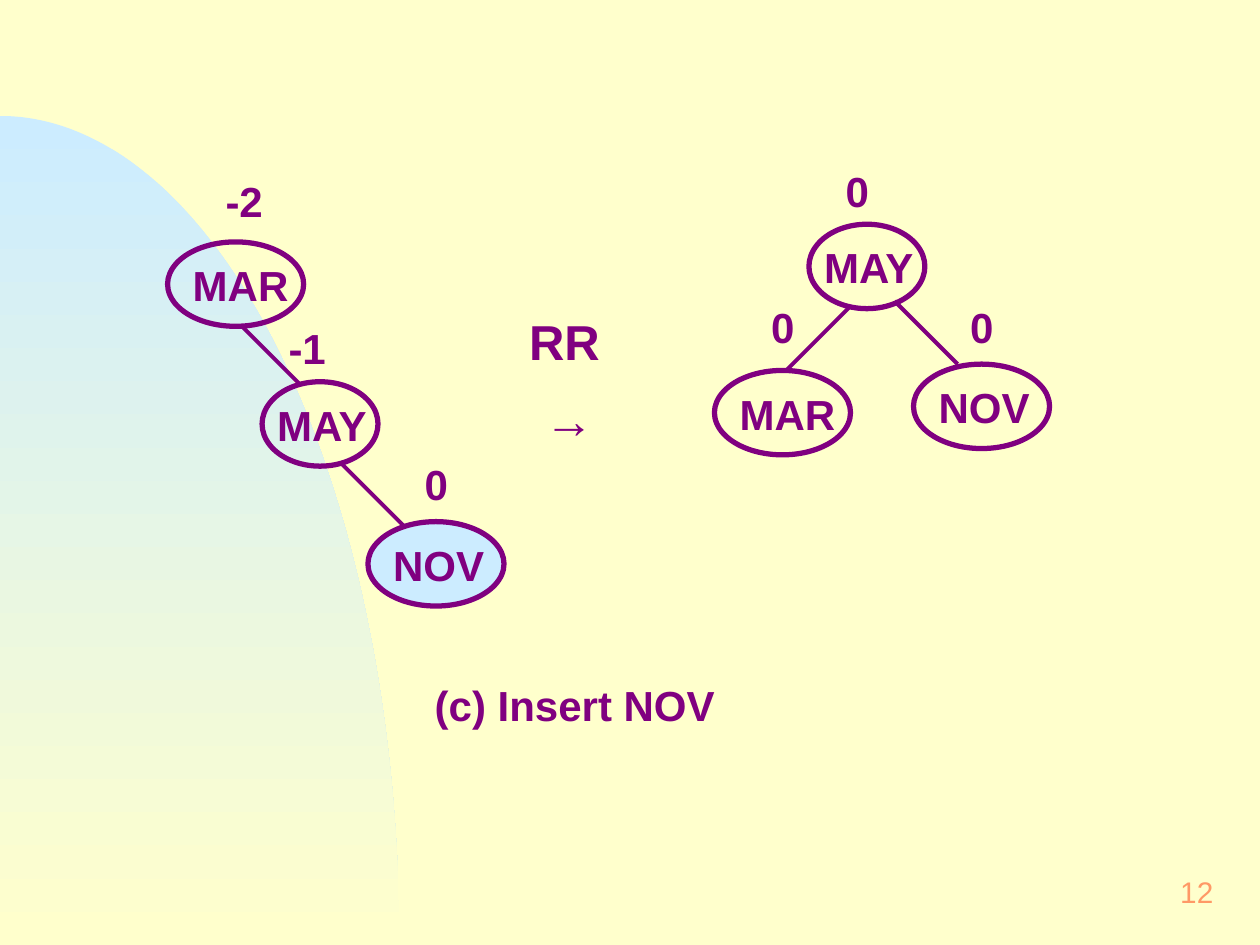
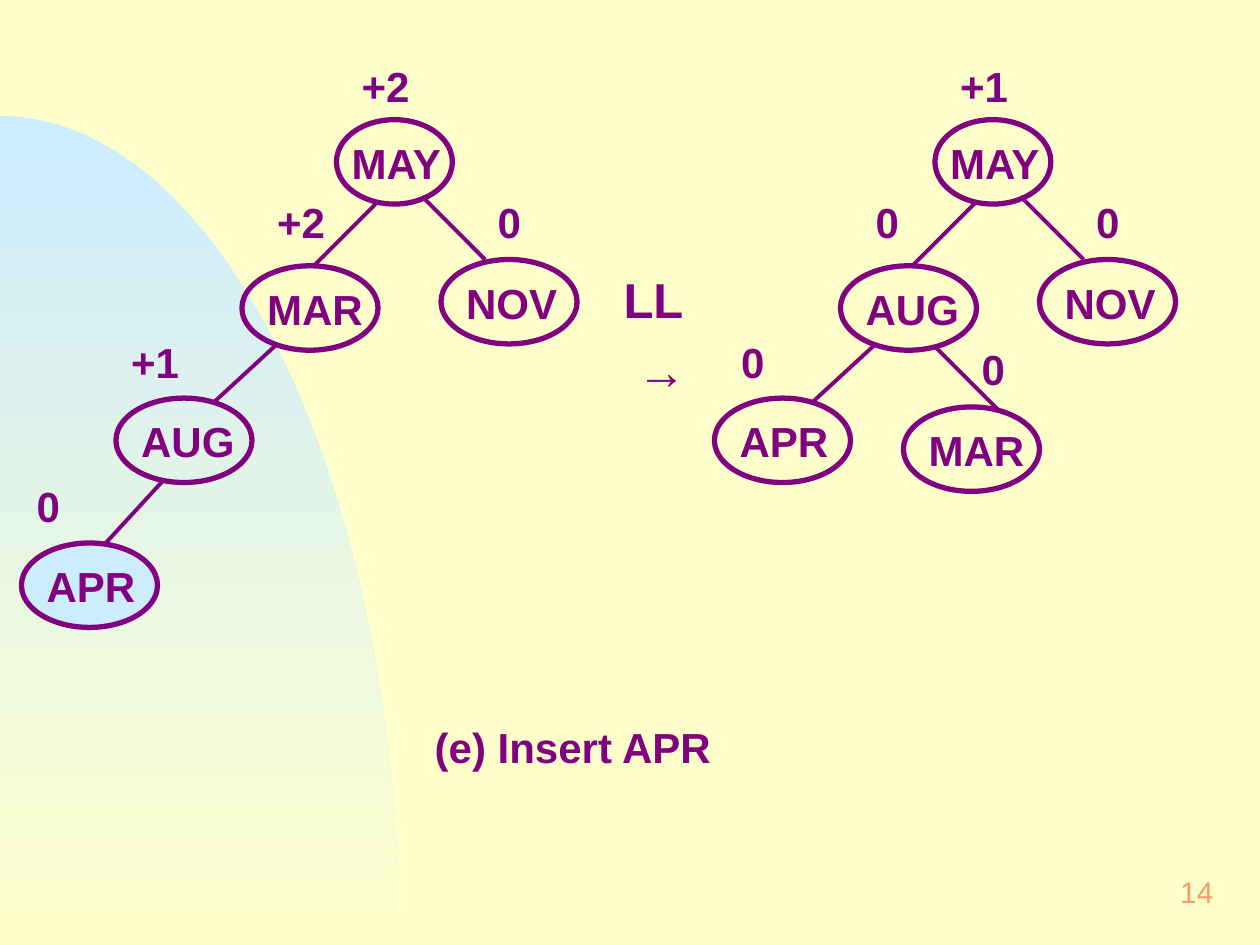
from math import cos, sin, pi

from lxml import etree
from pptx import Presentation
from pptx.dml.color import RGBColor
from pptx.enum.shapes import MSO_CONNECTOR, MSO_SHAPE
from pptx.enum.text import MSO_ANCHOR, MSO_AUTO_SIZE, PP_ALIGN
from pptx.oxml.ns import qn
from pptx.util import Inches, Pt

COLORS = {"paper": "FFFFCC", "sky": "CCECFF", "ink": "800080", "page": "FF9966"}
FONT = "Arial"
ARC_W, ARC_TOP, BOTTOM = 3.17, 0.92, 7.5


def rgb(name):
    """Return a named colour."""
    return RGBColor.from_string(COLORS[name])


class Deck:
    """Holds the presentation, its style and the current slide."""

    def __init__(self):
        """Set the slide size and the shared background."""
        self.prs = Presentation()
        self.prs.slide_width, self.prs.slide_height = Inches(10), Inches(BOTTOM)
        fill = self.prs.slide_master.background.fill
        fill.solid()
        fill.fore_color.rgb = rgb("paper")

    def slide(self, number):
        """Start a slide with the arc and the page number."""
        self.s = self.prs.slides.add_slide(self.prs.slide_layouts[6])
        self.arc()
        tf = self.box(7.67, 6.83, 2.08, 0.5)
        tf.vertical_anchor = MSO_ANCHOR.MIDDLE
        p = tf.paragraphs[0]
        self.put_text(p, str(number), 17, "page", bold=False)
        p.alignment = PP_ALIGN.RIGHT

    def arc(self):
        """Draw the quarter ellipse at the left edge."""
        steps = 90
        angles = [i * pi / 2 / steps for i in range(1, steps + 1)]
        points = [(Inches(ARC_W * sin(a)),
                   Inches(BOTTOM - (BOTTOM - ARC_TOP) * cos(a))) for a in angles]
        builder = self.s.shapes.build_freeform(0, Inches(ARC_TOP))
        builder.add_line_segments(points + [(0, Inches(BOTTOM))], close=True)
        sp = builder.convert_to_shape()
        sp.shadow.inherit = False
        sp.line.fill.background()
        sp.fill.gradient()
        sp.fill.gradient_angle = 270
        for stop, name in zip(sp.fill.gradient_stops, ("sky", "paper")):
            stop.color.rgb = rgb(name)

    def box(self, x, y, w, h):
        """Add a wrapping text box and return its text frame."""
        tf = self.s.shapes.add_textbox(Inches(x), Inches(y), Inches(w), Inches(h)).text_frame
        tf.word_wrap = True
        tf.margin_left = tf.margin_right = Inches(0.12)
        tf.margin_top = tf.margin_bottom = Inches(0.06)
        return tf

    def put_text(self, p, text, size, color="ink", bold=True):
        """Put text in a paragraph and style it."""
        p.add_run().text = text
        p.font.name, p.font.size, p.font.bold = FONT, Pt(size), bold
        p.font.color.rgb = rgb(color)

    def label(self, x, y, text, w=1.17):
        """Add a one-line bold label."""
        tf = self.box(x, y, w, 0.52)
        tf.auto_size = MSO_AUTO_SIZE.SHAPE_TO_FIT_TEXT
        p = tf.paragraphs[0]
        self.put_text(p, text, 24)
        p.space_before = Pt(6)

    def rotation(self, x, y, name, h, gap_size=28):
        """Name a rotation above an arrow."""
        tf = self.box(x, y, 1, h)
        tf.auto_size = MSO_AUTO_SIZE.SHAPE_TO_FIT_TEXT
        first, second = tf.paragraphs[0], tf.add_paragraph()
        self.put_text(first, name, 28)
        self.put_text(second, " ", 28)
        second.runs[0].font.size = Pt(gap_size)
        second.add_run().text = "→"
        for p in (first, second):
            p.space_before = Pt(7)

    def node(self, x, y, text, new=False):
        """Draw a tree node; a newly inserted one is filled."""
        narrow = text == "MAY"
        sp = self.s.shapes.add_shape(MSO_SHAPE.OVAL, Inches(x), Inches(y),
                                     Inches(0.92 if narrow else 1.08), Inches(0.67))
        sp.shadow.inherit = False
        sp.line.color.rgb, sp.line.width = rgb("ink"), Pt(3)
        if new:
            sp.fill.solid()
            sp.fill.fore_color.rgb = rgb("sky")
        else:
            sp.fill.background()
        self.label(x if narrow else x + 0.08, y + 0.08, text, 1 if narrow else 1.17)

    def edge(self, x1, y1, x2, y2):
        """Connect two nodes with a line."""
        line = self.s.shapes.add_connector(MSO_CONNECTOR.STRAIGHT, Inches(x1), Inches(y1),
                                           Inches(x2), Inches(y2))
        line.line.color.rgb, line.line.width = rgb("ink"), Pt(2.24)
        etree.SubElement(line._element.spPr, qn("a:effectLst"))

    def crown(self, x, y, left, balances, left_dx=-0.59):
        """Draw MAY at x, y with a left child and NOV on its right."""
        root_bal, left_bal, right_bal = balances
        self.node(x, y, "MAY")
        self.node(x - 0.75, y + 1.16, left)
        self.node(x + 0.83, y + 1.11, "NOV")
        self.edge(x - 0.17, y + 1.15, x + 0.33, y + 0.65)
        self.edge(x + 1.18, y + 1.11, x + 0.68, y + 0.61)
        self.label(x + 0.08, y - 0.53, root_bal, 0.83)
        self.label(x + left_dx, y + 0.55, left_bal)
        self.label(x + 1.16, y + 0.55, right_bal)


deck = Deck()

# (c) RR rotation
deck.slide(12)
deck.node(1.33, 1.92, "MAR")
deck.node(2.08, 3.03, "MAY")
deck.node(2.92, 4.14, "NOV", new=True)
deck.edge(2.38, 3.05, 1.92, 2.59)
deck.edge(3.21, 4.18, 2.71, 3.68)
deck.label(1.67, 1.33, "-2", 0.83)
deck.label(2.17, 2.5, "-1", 0.83)
deck.label(3.25, 3.58, "0")
deck.rotation(4.08, 2.41, "RR", 1.22, gap_size=32)
deck.crown(6.42, 1.78, "MAR", (" 0", "0", "0"), left_dx=-0.42)
deck.label(3.33, 5.33, "(c) Insert NOV", 2.75)

# (e) LL rotation
deck.slide(14)
trees = [(2.67, "MAR", ("+2", "+2", "0"), "AUG", "+1"),
         (7.42, "AUG", ("+1", "0", "0"), "APR", " 0")]
for x, left, balances, grandchild, balance in trees:
    deck.crown(x, 0.95, left, balances)
    deck.node(x - 1.75, 3.16, grandchild)
    deck.label(x - 1.75, 2.61, balance)
    deck.edge(x - 0.97, 3.19, x - 0.47, 2.73)
deck.node(0.17, 4.31, "APR", new=True)
deck.label(0.17, 3.75, "0")
deck.edge(0.83, 4.32, 1.29, 3.82)
deck.node(7.17, 3.23, "MAR")
deck.label(7.67, 2.67, "0", 0.75)
deck.edge(7.92, 3.25, 7.42, 2.75)
deck.rotation(4.83, 2.08, "LL", 1.16)
deck.label(3.33, 5.67, "(e) Insert APR", 2.75)

deck.prs.save("out.pptx")
